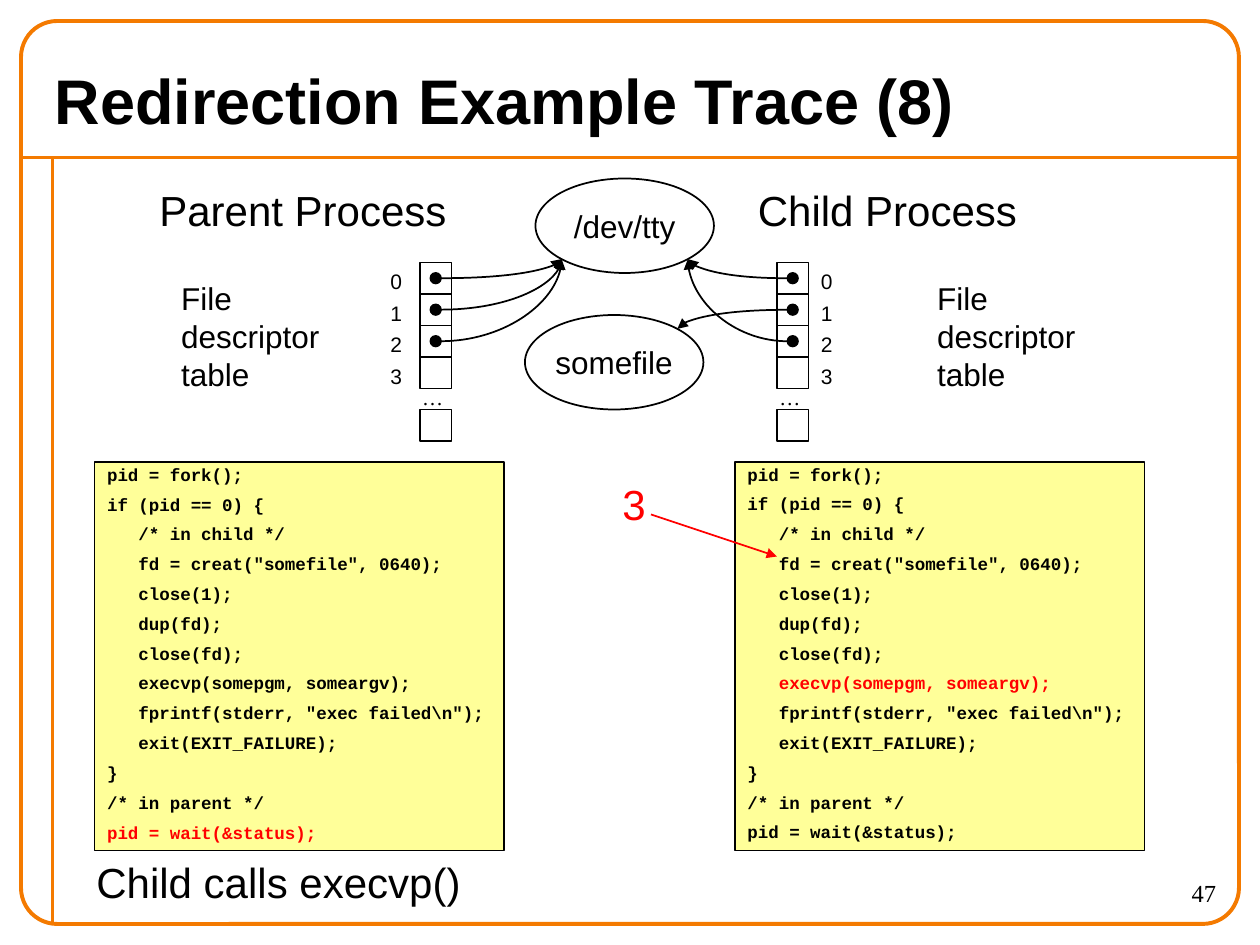
from dataclasses import dataclass
from math import sqrt

from lxml import etree
from pptx import Presentation
from pptx.dml.color import RGBColor
from pptx.enum import shapes, text
from pptx.oxml.ns import qn
from pptx.util import Pt

CODE = r"""pid = fork();
if (pid == 0) {
   /* in child */
   fd = creat("somefile", 0640);
   close(1);
   dup(fd);
   close(fd);
   execvp(somepgm, someargv);
   fprintf(stderr, "exec failed\n");
   exit(EXIT_FAILURE);
}
/* in parent */
pid = wait(&status);""".split("\n")


@dataclass(frozen=True)
class Theme:
    ink: RGBColor = RGBColor(0, 0, 0)
    accent: RGBColor = RGBColor(0xFF, 0, 0)
    frame: RGBColor = RGBColor(0xF4, 0x7A, 0)
    paper: RGBColor = RGBColor(0xFF, 0xFF, 0x99)
    sans: str = "Arial"
    serif: str = "Times New Roman"
    mono: str = "Courier New"
    title: int = 36
    heading: int = 24
    label: int = 18
    number: int = 14
    small: int = 12
    code: int = 10


class Sketch:
    def __init__(self, page, theme):
        self.page = page
        self.theme = theme

    def place(self, box, left, top, width, height):
        box.left, box.top, box.width, box.height = map(Pt, (left, top, width, height))

    def style(self, para, size, name=None, color=None, bold=False):
        font = para.font
        font.size = Pt(size)
        font.name = name or self.theme.sans
        font.bold = bold
        font.color.rgb = color or self.theme.ink

    def title(self, words, *area):
        box = self.page.shapes.title
        self.place(box, *area)
        frame = box.text_frame
        frame.text = words
        frame.auto_size = text.MSO_AUTO_SIZE.NONE
        frame.vertical_anchor = text.MSO_ANCHOR.MIDDLE
        para = frame.paragraphs[0]
        para.alignment = text.PP_ALIGN.LEFT
        self.style(para, self.theme.title, bold=True)

    def label(self, words, area, size, name=None, color=None, align=None, wrap=False):
        frame = self.page.shapes.add_textbox(*map(Pt, area)).text_frame
        frame.word_wrap = wrap
        frame.auto_size = text.MSO_AUTO_SIZE.SHAPE_TO_FIT_TEXT
        frame.text = words
        for para in frame.paragraphs:
            para.alignment = align
            self.style(para, size, name, color)

    def shape(self, kind, area, color=None, fill=None, width=1):
        box = self.page.shapes.add_shape(kind, *map(Pt, area))
        box.shadow.inherit = False
        self.paint(box, color or self.theme.ink, fill, width)
        return box

    def paint(self, box, color, fill, width):
        if fill is None:
            box.fill.background()
        else:
            box.fill.solid()
            box.fill.fore_color.rgb = fill
        box.line.color.rgb = color
        box.line.width = Pt(width)

    def code(self, box, current):
        self.paint(box, self.theme.ink, self.theme.paper, 0.75)
        frame = box.text_frame
        frame.word_wrap = True
        frame.auto_size = text.MSO_AUTO_SIZE.NONE
        frame.vertical_anchor = text.MSO_ANCHOR.TOP
        frame.text = "\n".join(CODE)
        for row, para in enumerate(frame.paragraphs):
            props = para._p.get_or_add_pPr()
            props.set("marL", str(Pt(17.25)))
            props.set("indent", str(-Pt(17.25)))
            etree.SubElement(props, qn("a:buNone"))
            para.alignment = text.PP_ALIGN.LEFT
            para.line_spacing = 0.9 if row else 0.8
            para.space_before = Pt(6.2 if row else 0)
            color = self.theme.accent if row == current else self.theme.ink
            self.style(para, self.theme.code, self.theme.mono, color, True)

    def file(self, name, left, top, width=102, height=54):
        box = self.shape(shapes.MSO_SHAPE.OVAL, (left, top, width, height))
        frame = box.text_frame
        frame.word_wrap = False
        frame.text = name
        frame.vertical_anchor = text.MSO_ANCHOR.MIDDLE
        para = frame.paragraphs[0]
        para.alignment = text.PP_ALIGN.CENTER
        self.style(para, self.theme.label)

        def rim(across, down):
            return (round(left + width / 2 * (1 + across / sqrt(2)), 2),
                    round(top + height / 2 * (1 + down / sqrt(2)), 2))
        return rim

    def line(self, start, end, color=None, width=1, arrow=True, curved=False):
        kind = shapes.MSO_CONNECTOR.CURVE if curved else shapes.MSO_CONNECTOR.STRAIGHT
        link = self.page.shapes.add_connector(kind, *map(Pt, start + end))
        link.line.color.rgb = color or self.theme.ink
        link.line.width = Pt(width)
        props = link._element.spPr
        if arrow:
            etree.SubElement(link.line._get_or_add_ln(), qn("a:tailEnd"), type="triangle")
        etree.SubElement(props, qn("a:effectLst"))
        if curved:
            props.find(qn("a:prstGeom")).set("prst", "curvedConnector2")
            if end[0] < start[0]:
                turn = props.find(qn("a:xfrm"))
                turn.attrib.pop("flipH", None)
                turn.attrib.pop("flipV", None)
                turn.set("rot", "10800000")
                if end[1] > start[1]:
                    turn.set("flipV", "1")

    def descriptors(self, left, label_left, dot_side, targets):
        for row in range(4):
            top = 150 + 18 * row
            self.shape(shapes.MSO_SHAPE.RECTANGLE, (left, top, 18, 18))
            self.label(str(row), (label_left, top, 24.5, 21.6), self.theme.small, wrap=True)
        self.shape(shapes.MSO_SHAPE.RECTANGLE, (left, 234, 18, 18))
        self.label("…", (left - 5.8, 216, 26, 21.6), self.theme.small, self.theme.serif)
        for row, target in enumerate(targets):
            top = 156 + 18 * row
            self.shape(shapes.MSO_SHAPE.OVAL, (left + 6, top, 6, 6), fill=self.theme.ink)
            self.line((left + dot_side, top + 3), target, curved=True)


def main():
    deck = Presentation()
    deck.slide_width, deck.slide_height = Pt(720), Pt(540)
    page = deck.slides.add_slide(deck.slide_layouts[1])
    theme = Theme()
    sketch = Sketch(page, theme)

    sketch.line((12, 90), (708, 90), theme.frame, 2.25, arrow=False)
    sketch.line((30, 90), (30, 528), theme.frame, 2.25, arrow=False)
    border = sketch.shape(shapes.MSO_SHAPE.ROUNDED_RECTANGLE, (12, 12, 696, 516),
                          theme.frame, width=2.25)
    border.adjustments[0] = 0.04
    sketch.label("47", (630, 498, 72, 30), theme.number, theme.serif,
                 align=text.PP_ALIGN.RIGHT, wrap=True)
    sketch.title("Redirection Example Trace (8)", 24, 30, 672, 54)

    parent_code = page.placeholders[1]
    sketch.place(parent_code, 54, 264, 234, 222)
    sketch.code(parent_code, len(CODE) - 1)
    child_code = sketch.shape(shapes.MSO_SHAPE.RECTANGLE, (420, 264, 234, 222))
    sketch.code(child_code, 7)

    sketch.label("Parent Process", (84, 102, 179, 36), theme.heading)
    sketch.label("Child Process", (426, 102, 163, 36), theme.heading)
    sketch.label("Child calls execvp()", (48, 486, 223, 36), theme.heading)
    for left in (96.5, 528.5):
        sketch.label("File\ndescriptor\ntable", (left, 156, 93.6, 72), theme.label)

    terminal = sketch.file("/dev/tty", 306, 102)
    somefile = sketch.file("somefile", 300, 180)
    sketch.descriptors(240, 216, 12, [terminal(-1, 1)] * 3)
    sketch.descriptors(444, 462, 6, [terminal(1, 1), somefile(1, -1), terminal(1, 1)])

    sketch.label("3", (348.5, 270, 27.4, 36), theme.heading, color=theme.accent)
    sketch.line((372, 294), (444, 318), theme.accent)
    deck.save("out.pptx")


if __name__ == "__main__":
    main()
